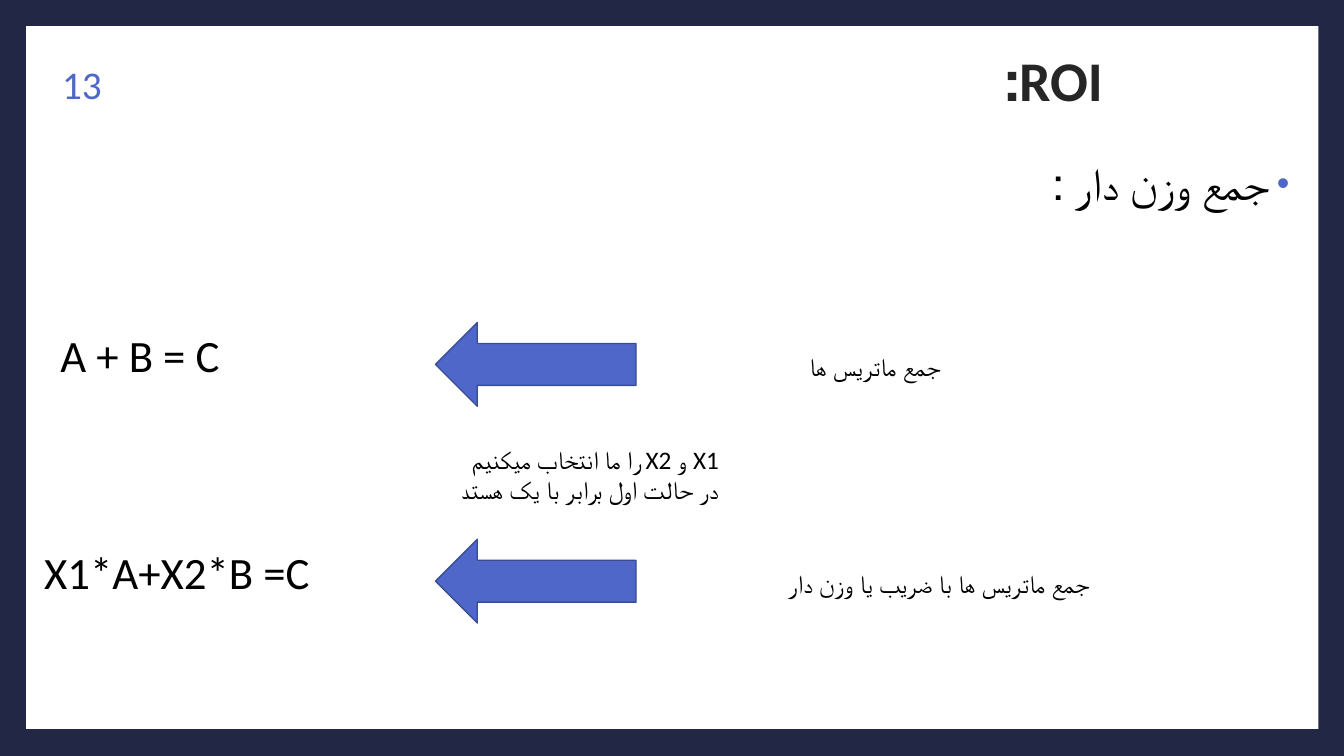
"""Build the slide on weighted matrix addition."""
from dataclasses import dataclass

from lxml.etree import SubElement, fromstring
from pptx import Presentation
from pptx.dml.color import RGBColor
from pptx.enum.shapes import MSO_SHAPE as Preset
from pptx.enum.text import MSO_ANCHOR as Anchor, MSO_AUTO_SIZE as AutoSize, PP_ALIGN as Align
from pptx.oxml.ns import nsdecls, qn
from pptx.util import Pt

COLORS = {
    "navy": "212745", "white": "FFFFFF", "blue": "4E67C8",
    "edge": "3A4C94", "title": "262626", "black": "000000",
}
FONT = "Calibri"


@dataclass(frozen=True)
class Frame:
    left: float
    top: float
    width: float
    height: float

    def lengths(self) -> tuple:
        return Pt(self.left), Pt(self.top), Pt(self.width), Pt(self.height)


@dataclass(frozen=True)
class Step:
    top: float
    formula: str
    formula_left: float
    label: str
    label_left: float
    label_width: float


STEPS = (
    Step(230.4, "A + B = C", 36, "جمع ماتریس ها", 571, 133.2),
    Step(385.2, "X1*A+X2*B =C", 24.5, "جمع ماتریس ها با ضریب یا وزن دار", 555.8, 271.4),
)


def color(name: str) -> RGBColor:
    return RGBColor.from_string(COLORS[name])


def write(shape, text: str, *, size: float, ink: str = "black", bold: bool = False,
          align=Align.LEFT, rtl: bool = False, anchor=Anchor.TOP, wrap: bool = True,
          grow: bool = False, bullet: bool = False, spacing: float = 1.0) -> None:
    frame = shape.text_frame
    frame.word_wrap = wrap
    frame.auto_size = AutoSize.SHAPE_TO_FIT_TEXT if grow else AutoSize.NONE
    frame.vertical_anchor = anchor
    frame.text = text
    for para in frame.paragraphs:
        para.alignment = align
        para.line_spacing = spacing
        para.space_before = Pt(0)
        props = para._p.get_or_add_pPr()
        if rtl:
            props.set("rtl", "1")
        if bullet:
            props.set("marL", str(Pt(18)))
            props.set("indent", str(Pt(-14.4)))
            tint = SubElement(props, qn("a:buClr"))
            SubElement(tint, qn("a:srgbClr"), val=COLORS["blue"])
            SubElement(props, qn("a:buSzPct"), val="80000")
            SubElement(props, qn("a:buFont"), typeface="Arial")
            SubElement(props, qn("a:buChar"), char="•")
        for span in para.runs:
            span.font.name = FONT
            span.font.size = Pt(size)
            span.font.bold = bold
            span.font.color.rgb = color(ink)


def add_text(page, frame: Frame, text: str, **style) -> None:
    write(page.shapes.add_textbox(*frame.lengths()), text, **style)


def add_block(page, preset, frame: Frame, fill: str, line: str = ""):
    shape = page.shapes.add_shape(preset, *frame.lengths())
    shape.shadow.inherit = False
    shape.fill.solid()
    shape.fill.fore_color.rgb = color(fill)
    if line:
        shape.line.color.rgb = color(line)
        shape.line.width = Pt(1)
    else:
        shape.line.fill.background()
    return shape


def add_title(page, frame: Frame, text: str) -> None:
    title = page.shapes.title
    title.left, title.top, title.width, title.height = frame.lengths()
    write(title, text, size=40, ink="title", bold=True, align=Align.RIGHT, rtl=True,
          anchor=Anchor.MIDDLE, spacing=0.9)
    outline = fromstring(
        f'<a:ln {nsdecls("a")} w="{Pt(1.06)}"><a:solidFill>'
        f'<a:srgbClr val="{COLORS["white"]}"/></a:solidFill></a:ln>')
    title.text_frame.paragraphs[0].runs[0].font._element.insert(0, outline)


def add_step(page, step: Step) -> None:
    add_text(page, Frame(step.formula_left, step.top, 613.4, 46), step.formula,
             size=32, grow=True)
    arrow = add_block(page, Preset.RIGHT_ARROW, Frame(311, step.top, 143.3, 59.8),
                      "blue", "edge")
    arrow.rotation = 180
    add_text(page, Frame(step.label_left, step.top + 16.9, step.label_width, 29),
             step.label, size=18, wrap=False, grow=True)


def main() -> None:
    deck = Presentation()
    deck.slide_width, deck.slide_height = Pt(960), Pt(540)
    page = deck.slides.add_slide(deck.slide_layouts[5])
    page.background.fill.solid()
    page.background.fill.fore_color.rgb = color("navy")

    panel = add_block(page, Preset.RECTANGLE, Frame(18.7, 18.7, 923, 501.9), "white")
    page.shapes._spTree.insert(2, panel._element)
    add_title(page, Frame(85, 32.4, 709.9, 54.7), "ROI:")
    heading = add_block(page, Preset.RECTANGLE, Frame(24.5, 98.6, 907.2, 68.4), "white")
    write(heading, "جمع وزن دار :", size=32, align=Align.RIGHT, rtl=True,
          anchor=Anchor.MIDDLE, bullet=True, spacing=0.9)
    add_text(page, Frame(24.5, 32.4, 55.4, 54.7), "13", size=28, ink="blue",
             align=Align.RIGHT, anchor=Anchor.MIDDLE)
    for step in STEPS:
        add_step(page, step)
    add_text(page, Frame(280.8, 313.9, 239.8, 51),
             "X1 و X2 را ما انتخاب میکنیم\nدر حالت اول برابر با یک هستد",
             size=18, align=Align.RIGHT, rtl=True, grow=True)
    deck.save("out.pptx")


if __name__ == "__main__":
    main()
